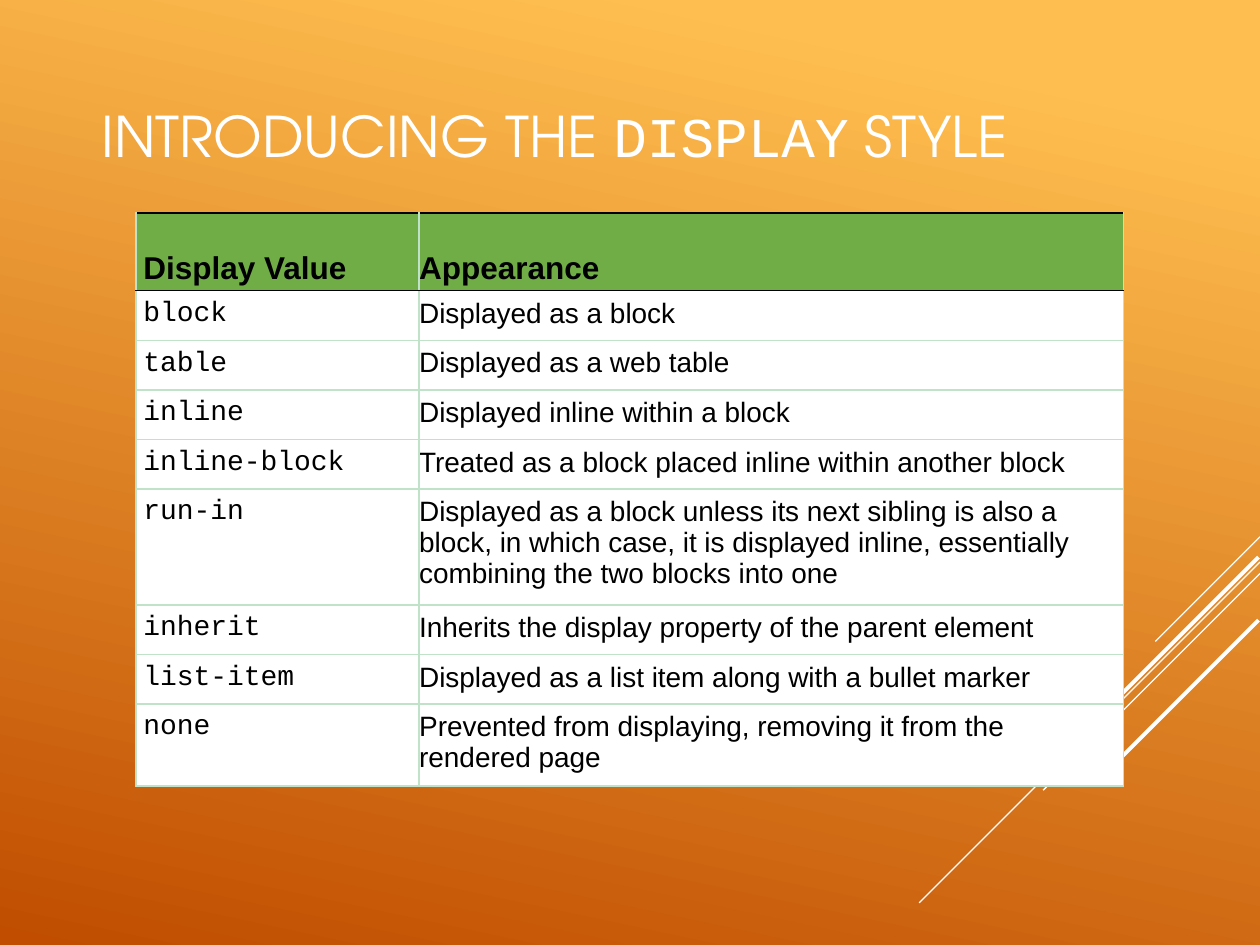
from lxml import etree
from pptx import Presentation
from pptx import util as u
from pptx.dml.color import RGBColor
from pptx.enum import shapes, text
from pptx.oxml.ns import qn

SANS, MONO, DISPLAY = "Arial", "Courier New", "TeX Gyre Adventor"
WHITE, BLACK, GREEN, MINT = "FFFFFF", "000000", "70AD47", "BFE2C9"

HEADINGS = ("Display Value", "Appearance")
DISPLAY_VALUES = [
    ("block", "Displayed as a block"),
    ("table", "Displayed as a web table"),
    ("inline", "Displayed inline within a block"),
    ("inline-block", "Treated as a block placed inline within another block"),
    ("run-in", "Displayed as a block unless its next sibling is also a block, in which "
               "case, it is displayed inline, essentially combining the two blocks into one"),
    ("inherit", "Inherits the display property of the parent element"),
    ("list-item", "Displayed as a list item along with a bullet marker"),
    ("none", "Prevented from displaying, removing it from the rendered page"),
]
COLUMN_WIDTHS = (5.71, 14.2)
HEADER_HEIGHT, ROW_HEIGHT = 1.57, 1.0

# Right end (x, y), horizontal and vertical reach, weight
STREAKS = [
    (25.4, 10.82, 2.11, 0.75),
    (25.4, 11.33, 6.87, 0.75),
    (25.4, 11.56, 4.37, 0.75),
    (25.37, 11.23, 3.98, 2.25),
    (25.37, 12.5, 2.89, 2.25),
]


def colour(hex_code):
    return RGBColor.from_string(hex_code)


class Deck:
    def __init__(self):
        self.presentation = Presentation()
        self.presentation.slide_width = u.Cm(25.4)
        self.presentation.slide_height = u.Cm(19.05)
        self.slide = self.presentation.slides.add_slide(self.presentation.slide_layouts[6])

    def background(self, stops, angle):
        """Fill the slide with a linear gradient; angle runs counter-clockwise."""
        fill = self.slide.background.fill
        fill.gradient()
        fill.gradient_angle = angle
        for stop, (position, shade) in zip(fill.gradient_stops, stops):
            stop.position = position
            stop.color.rgb = colour(shade)

    def streak(self, right, top, reach, weight):
        """Draw a white line falling to the left at 45 degrees."""
        line = self.slide.shapes.add_connector(
            shapes.MSO_CONNECTOR.STRAIGHT,
            u.Cm(right), u.Cm(top), u.Cm(right - reach), u.Cm(top + reach))
        line.line.color.rgb = colour(WHITE)
        line.line.width = u.Pt(weight)
        etree.SubElement(line._element.spPr, qn("a:effectLst"))

    def title(self, left, top, width, height, parts):
        box = self.slide.shapes.add_textbox(u.Cm(left), u.Cm(top), u.Cm(width), u.Cm(height))
        frame = box.text_frame
        frame.word_wrap = True
        frame.vertical_anchor = text.MSO_ANCHOR.MIDDLE
        heading = frame.paragraphs[0]
        heading.font.size = u.Pt(32)
        heading.font.color.rgb = colour(WHITE)
        for words, typeface in parts:
            run = heading.add_run()
            run.text = words
            run.font.name = typeface

    def table(self, left, top, headings, rows):
        grid = self.slide.shapes.add_table(
            len(rows) + 1, len(headings), u.Cm(left), u.Cm(top), u.Cm(sum(COLUMN_WIDTHS)),
            u.Cm(HEADER_HEIGHT + ROW_HEIGHT * len(rows))).table
        grid.first_row = grid.horz_banding = False
        for column, width in zip(grid.columns, COLUMN_WIDTHS):
            column.width = u.Cm(width)
        for r, entries in enumerate([headings, *rows]):
            grid.rows[r].height = u.Cm(ROW_HEIGHT if r else HEADER_HEIGHT)
            for c, words in enumerate(entries):
                self.cell(grid.cell(r, c), words, r, c)

    def cell(self, cell, words, row, column):
        header = row == 0
        cell.margin_left = u.Cm(0 if column else 0.15)
        cell.margin_right = u.Cm(0.2)
        cell.margin_top = u.Cm(0.53 if header else 0.15)
        cell.margin_bottom = u.Cm(0.1 if header else 0.15)
        cell.vertical_anchor = text.MSO_ANCHOR.BOTTOM if header else text.MSO_ANCHOR.TOP
        entry = cell.text_frame.paragraphs[0]
        entry.text = words
        entry.space_before = u.Pt(3)
        entry.font.name = SANS if header or column else MONO
        entry.font.size = u.Pt(18 if header else 16)
        entry.font.bold = header
        entry.font.color.rgb = colour(BLACK)
        self.borders(cell, {"L": MINT, "R": MINT,
                            "T": BLACK if row <= 1 else MINT,
                            "B": BLACK if header else MINT})
        cell.fill.solid()
        cell.fill.fore_color.rgb = colour(GREEN if header else WHITE)

    def borders(self, cell, sides):
        properties = cell._tc.get_or_add_tcPr()
        for side, shade in sides.items():
            edge = etree.SubElement(properties, qn(f"a:ln{side}"), w=str(u.Pt(1)))
            fill = etree.SubElement(edge, qn("a:solidFill"))
            etree.SubElement(fill, qn("a:srgbClr"), val=shade)


def main():
    deck = Deck()
    deck.background([(0.1, "FFBF50"), (1, "C04D00")], 258)
    for streak in STREAKS:
        deck.streak(*streak)
    deck.title(1.8, 0.61, 20.09, 4.24, [
        ("INTRODUCING THE ", DISPLAY), ("DISPLAY", MONO), (" STYLE", DISPLAY)])
    deck.table(2.74, 4.29, HEADINGS, DISPLAY_VALUES)
    deck.presentation.save("out.pptx")


if __name__ == "__main__":
    main()
